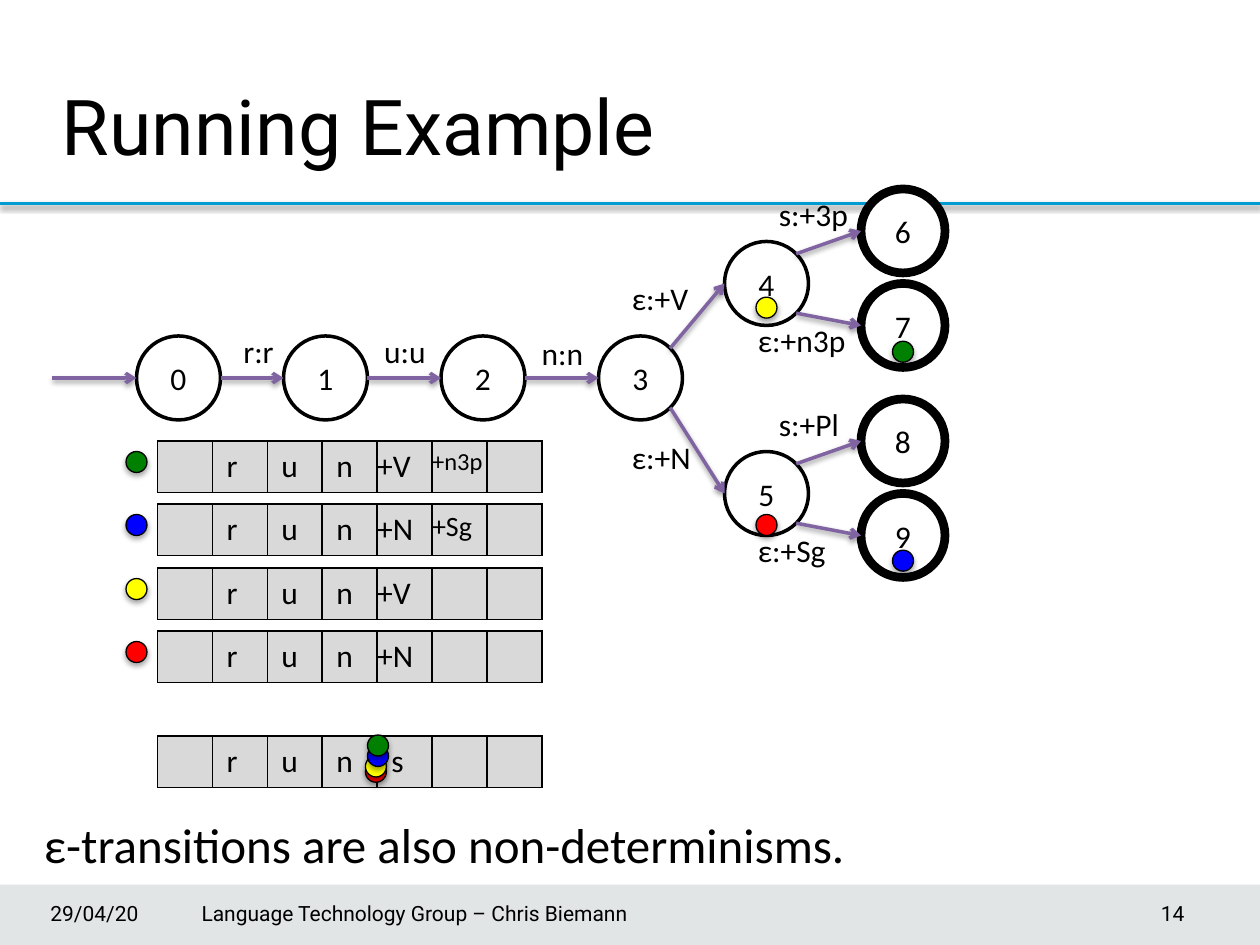
from math import cos, radians, sin

from lxml.etree import SubElement
from pptx import Presentation
from pptx.dml.color import RGBColor
from pptx.enum.shapes import MSO_CONNECTOR as Connector, MSO_SHAPE as Shape
from pptx.enum.text import MSO_ANCHOR as Anchor, PP_ALIGN as Align
from pptx.oxml.ns import qn
from pptx.util import Inches, Pt

COLORS = {
    "black": "000000", "white": "FFFFFF", "rule": "009CD1", "footer": "3B515B",
    "arrow": "8064A2", "cell": "D9D9D9", "red": "FF0000", "yellow": "FFFF00",
    "blue": "0000FF", "green": "008000",
}
COLUMNS, ROWS = 120, 90
NODE, TOKEN = 8, 2
TAPE_LEFT, CELL_WIDTH, CELL_HEIGHT = 15, 5.23, 4.9
INDENT = 1.35

STATES = {
    "0": (13, 32), "1": (27, 32), "2": (42, 32), "3": (57, 32),
    "4": (69, 23), "5": (69, 43),
    "6": (82, 18), "7": (82, 27), "8": (82, 38), "9": (82, 47),
}
FINAL_STATES = "6789"
TRANSITIONS = [
    ("0", "1", 0, "r:r", 22, 31, 5.3),
    ("1", "2", 0, "u:u", 35.4, 31, 6.6),
    ("2", "3", 0, "n:n", 50.4, 31.2, 6.6),
    ("3", "4", -45, "ε:+V", 59, 26, 8.5),
    ("3", "5", 45, "ε:+N", 59, 41.1, 8.5),
    ("4", "6", -45, "s:+3p", 73, 18, 10),
    ("4", "7", 45, "ε:+n3p", 71, 30, 11.4),
    ("5", "8", -45, "s:+Pl", 73, 38, 9.2),
    ("5", "9", 45, "ε:+Sg", 71, 50, 10.1),
]
TAPES = [
    (42, ["", "r", "u", "n", "+V", "+n3p", ""]),
    (48, ["", "r", "u", "n", "+N", "+Sg", ""]),
    (54.1, ["", "r", "u", "n", "+V", "", ""]),
    (60.1, ["", "r", "u", "n", "+N", "", ""]),
    (70.1, ["", "r", "u", "n", "s", "", ""]),
]
SMALL_SIZES = {"+n3p": 14, "+Sg": 16}
TOKENS = {
    "red": [(12, 61.1), (72, 49), (34.8, 72.5)],
    "yellow": [(12, 55.1), (72, 28.3), (34.8, 72)],
    "blue": [(12, 49), (85, 52.4), (35, 71)],
    "green": [(12, 43), (85, 32.5), (35, 70)],
}


def grid(*lengths):
    """Turn grid units of a twelfth of an inch into slide lengths."""
    return [Inches(length / 12) for length in lengths]


def color(name):
    """Look up a named colour."""
    return RGBColor.from_string(COLORS[name])


def style_text(frame, text, size, font="Calibri", align=Align.LEFT, anchor=Anchor.TOP):
    """Fill a text frame with one formatted paragraph."""
    frame.text = text
    frame.vertical_anchor = anchor
    paragraph = frame.paragraphs[0]
    paragraph.alignment = align
    paragraph.font.size = Pt(size)
    paragraph.font.name = font
    paragraph.font.color.rgb = color("black")
    return paragraph


def add_text(slide, box, text, size, wrap=True, **style):
    """Add a text box on the grid."""
    shape = slide.shapes.add_textbox(*grid(*box))
    shape.text_frame.word_wrap = wrap
    style_text(shape.text_frame, text, size, **style)
    return shape


def add_filled(slide, kind, box, fill, line_width=0):
    """Add a flat preset shape with an optional black outline."""
    shape = slide.shapes.add_shape(kind, *grid(*box))
    shape.shadow.inherit = False
    shape.fill.solid()
    shape.fill.fore_color.rgb = color(fill)
    if line_width:
        shape.line.color.rgb = color("black")
        shape.line.width = Pt(line_width)
    else:
        shape.line.fill.background()
    return shape


def set_shadow(shape, opacity):
    """Give a shape a soft shadow below it."""
    properties = shape._element.spPr
    effects = properties.find(qn("a:effectLst"))
    if effects is None:
        effects = SubElement(properties, qn("a:effectLst"))
    shadow = SubElement(effects, qn("a:outerShdw"), blurRad=str(Pt(3.1)),
                        dist=str(Pt(1.7)), dir="5400000", rotWithShape="0")
    tint = SubElement(shadow, qn("a:srgbClr"), val=COLORS["black"])
    SubElement(tint, qn("a:alpha"), val=str(opacity * 1000))


def add_line(slide, start, end, line_color):
    """Add a straight two-point line on the grid."""
    line = slide.shapes.add_connector(Connector.STRAIGHT, *grid(*start, *end))
    line.line.color.rgb = color(line_color)
    line.line.width = Pt(2)
    return line


def add_arrow(slide, start, end):
    """Add a transition arrow with an open head."""
    arrow = add_line(slide, start, end, "arrow")
    SubElement(arrow.line._get_or_add_ln(), qn("a:tailEnd"), type="arrow")
    set_shadow(arrow, 38)


def add_state(slide, name):
    """Add a numbered state, with a heavy outline if it is final."""
    width = 5 if name in FINAL_STATES else 2
    shape = add_filled(slide, Shape.OVAL, (*STATES[name], NODE, NODE), "white", width)
    style_text(shape.text_frame, name, 18, align=Align.CENTER, anchor=Anchor.MIDDLE)


def add_transition(slide, source, target, angle, label, left, top, width):
    """Join two states and label the arrow."""
    radius = NODE / 2
    x, y = STATES[source]
    start = (x + radius * (1 + cos(radians(angle))),
             y + radius * (1 + sin(radians(angle))))
    add_arrow(slide, start, (STATES[target][0], STATES[target][1] + radius))
    add_text(slide, (left, top, width, 4.8), label, 18, wrap=False)


def set_borders(cell):
    """Draw thin black borders around a cell."""
    properties = cell._tc.get_or_add_tcPr()
    for index, side in enumerate(("a:lnL", "a:lnR", "a:lnT", "a:lnB")):
        border = SubElement(properties, qn(side), w=str(Pt(1)))
        fill = SubElement(border, qn("a:solidFill"))
        SubElement(fill, qn("a:srgbClr"), val=COLORS["black"])
        properties.insert(index, border)


def add_tape(slide, top, symbols):
    """Add a one-row tape of symbols."""
    box = grid(TAPE_LEFT, top, CELL_WIDTH * len(symbols), CELL_HEIGHT)
    table = slide.shapes.add_table(1, len(symbols), *box).table
    table.first_row = table.horz_banding = False
    for cell, symbol in zip(table.rows[0].cells, symbols):
        cell.fill.solid()
        cell.fill.fore_color.rgb = color("cell")
        cell.margin_left, cell.margin_right = grid(INDENT if len(symbol) == 1 else 0, 0)
        style_text(cell.text_frame, symbol, SMALL_SIZES.get(symbol, 18))
        set_borders(cell)


def add_token(slide, left, top, fill):
    """Add a coloured marker for one search path."""
    token = add_filled(slide, Shape.OVAL, (left, top, TOKEN, TOKEN), fill, 0.75)
    set_shadow(token, 35)


def add_frame(slide):
    """Add the title, the rule and the footer."""
    band = add_filled(slide, Shape.RECTANGLE, (0, 84.25, COLUMNS, ROWS - 84.25), "footer")
    tint = band._element.spPr.find(qn("a:solidFill"))[0]
    SubElement(tint, qn("a:alpha"), val="15000")
    add_line(slide, (0, 19.4), (COLUMNS, 19.4), "rule")
    title = slide.shapes.title
    title.left, title.top, title.width, title.height = grid(4.7, 6.4, 90.2, 11)
    style_text(title.text_frame, "Running Example", 44, "Roboto", anchor=Anchor.MIDDLE)
    footer = [
        (4.8, 13, "29/04/20", Align.LEFT),
        (18, 60, "Language Technology Group – Chris Biemann", Align.LEFT),
        (95.8, 18.2, "14", Align.RIGHT),
    ]
    for left, width, text, align in footer:
        shape = add_text(slide, (left, 84.6, width, 4.8), text, 12,
                         font="Roboto", align=align, anchor=Anchor.MIDDLE)
        if align == Align.LEFT:
            shape.text_frame.margin_left = 0
        if left == 18:
            shape.left += Inches(0.1)


def main():
    """Build the slide and save it."""
    presentation = Presentation()
    presentation.slide_width, presentation.slide_height = grid(COLUMNS, ROWS)
    slide = presentation.slides.add_slide(presentation.slide_layouts[5])
    add_frame(slide)
    add_text(slide, (3, 77, 113.4, 6.7), "ε-transitions are also non-determinisms.", 28)
    for name in STATES:
        add_state(slide, name)
    add_arrow(slide, (5, 36), (STATES["0"][0], 36))
    for transition in TRANSITIONS:
        add_transition(slide, *transition)
    for top, symbols in TAPES:
        add_tape(slide, top, symbols)
    for fill, places in TOKENS.items():
        for left, top in places:
            add_token(slide, left, top, fill)
    presentation.save("out.pptx")


if __name__ == "__main__":
    main()
